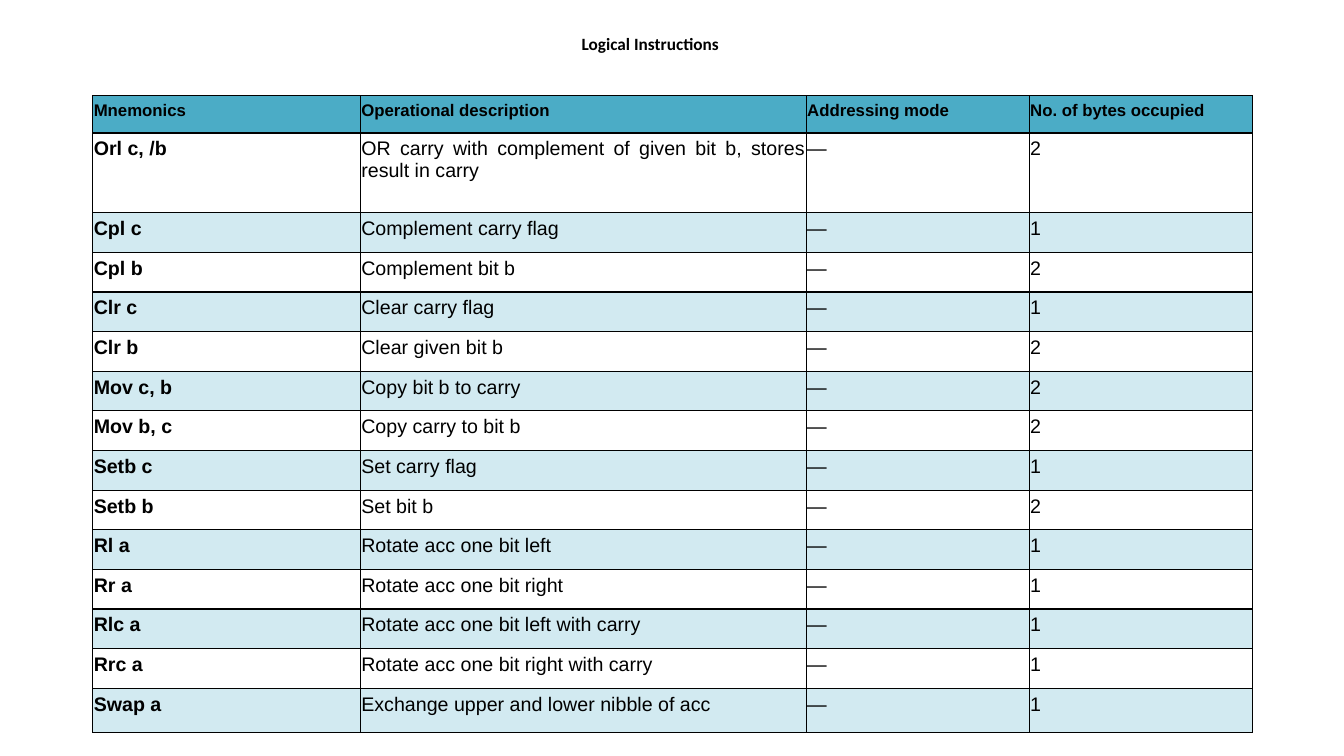
from lxml.etree import SubElement
from pptx import Presentation
from pptx.dml.color import RGBColor
from pptx.enum.text import MSO_ANCHOR, PP_ALIGN
from pptx.oxml.ns import qn
from pptx.util import Inches, Pt

COLORS = {"text": "000000", "border": "000000", "header": "4BACC6", "band": "D2EAF1"}
HEADER = ("Mnemonics", "Operational description", "Addressing mode", "No. of bytes occupied")
INSTRUCTIONS = [
    ("Orl c, /b", "OR carry with complement of given bit b, stores result in carry", 2),
    ("Cpl c", "Complement carry flag", 1),
    ("Cpl b", "Complement bit b", 2),
    ("Clr c", "Clear carry flag", 1),
    ("Clr b", "Clear given bit b", 2),
    ("Mov c, b", "Copy bit b to carry", 2),
    ("Mov b, c", "Copy carry to bit b", 2),
    ("Setb c", "Set carry flag", 1),
    ("Setb b", "Set bit b", 2),
    ("Rl a", "Rotate acc one bit left", 1),
    ("Rr a", "Rotate acc one bit right", 1),
    ("Rlc a", "Rotate acc one bit left with carry", 1),
    ("Rrc a", "Rotate acc one bit right with carry", 1),
    ("Swap a", "Exchange upper and lower nibble of acc", 1),
]
ROWS = [HEADER] + [(name, text, "—", str(size)) for name, text, size in INSTRUCTIONS]
COL_SHARES = (6, 10, 5, 5)
TABLE_W, TABLE_H = 11.5, 6.32
HEADER_H, FIRST_H, LAST_H = 0.37, 0.79, 0.44
BODY_H = (TABLE_H - HEADER_H - FIRST_H - LAST_H) / (len(ROWS) - 3)
ROW_HEIGHTS = [HEADER_H, FIRST_H] + [BODY_H] * (len(ROWS) - 3) + [LAST_H]


def style_font(p, name, size, bold):
    p.font.name, p.font.size, p.font.bold = name, Pt(size), bold
    p.font.color.rgb = RGBColor.from_string(COLORS["text"])


def add_borders(cell):
    """Draw all four borders; call before the fill is set, as lines come first."""
    tcPr = cell._tc.get_or_add_tcPr()
    for side in ("a:lnL", "a:lnR", "a:lnT", "a:lnB"):
        ln = SubElement(tcPr, qn(side), w=str(int(Pt(0.96))))
        fill = SubElement(ln, qn("a:solidFill"))
        SubElement(fill, qn("a:srgbClr"), val=COLORS["border"])


prs = Presentation()
prs.slide_width, prs.slide_height = Inches(13.33), Inches(7.5)
s = prs.slides.add_slide(prs.slide_layouts[5])

title = s.shapes.title
title.left, title.top = Inches(0.48), Inches(0.1)
title.width, title.height = Inches(11.94), Inches(0.85)
tf = title.text_frame
tf.text = "Logical Instructions"
tf.vertical_anchor = MSO_ANCHOR.MIDDLE
tf.margin_top, tf.margin_bottom = Inches(0.05), Inches(0.2)
p = tf.paragraphs[0]
p.alignment = PP_ALIGN.CENTER
p.line_spacing = 0.9
style_font(p, "Calibri", 12.3, True)

table = s.shapes.add_table(len(ROWS), len(HEADER), Inches(0.92), Inches(0.95),
                           Inches(TABLE_W), Inches(TABLE_H)).table
table.horz_banding = False
for col, share in zip(table.columns, COL_SHARES):
    col.width = Inches(TABLE_W * share / sum(COL_SHARES))

for i, (values, height) in enumerate(zip(ROWS, ROW_HEIGHTS)):
    table.rows[i].height = Inches(height)
    for j, value in enumerate(values):
        cell = table.cell(i, j)
        add_borders(cell)
        if i % 2 and i > 0:
            cell.fill.background()
        else:
            cell.fill.solid()
            cell.fill.fore_color.rgb = RGBColor.from_string(COLORS["band" if i else "header"])
        cell.margin_left = cell.margin_right = Inches(0.01)
        cell.margin_top = cell.margin_bottom = Inches(0.05)
        cell.text = value
        p = cell.text_frame.paragraphs[0]
        p.alignment = PP_ALIGN.JUSTIFY
        style_font(p, "Arial", 14 if i else 12, i == 0 or j == 0)

prs.save("out.pptx")
